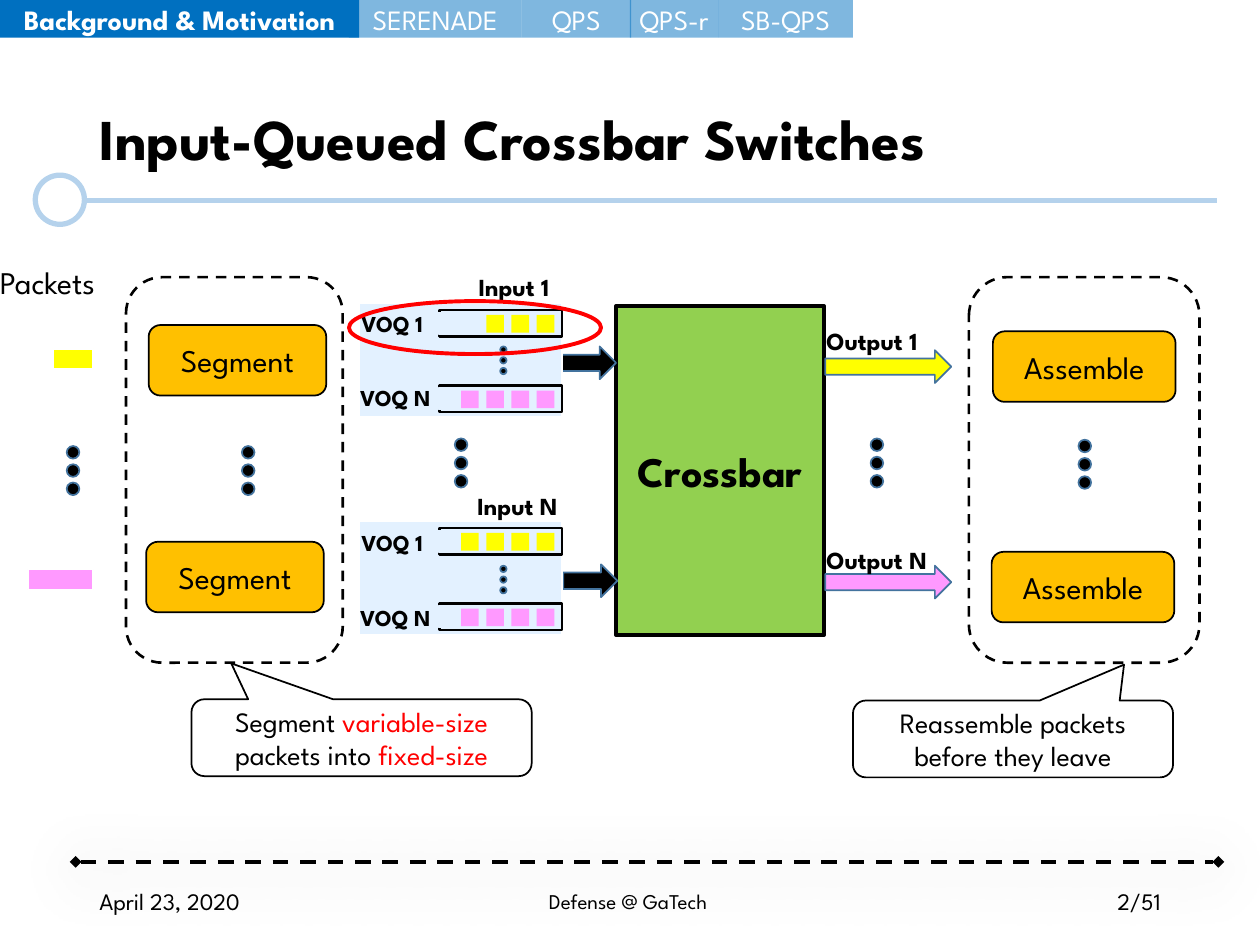
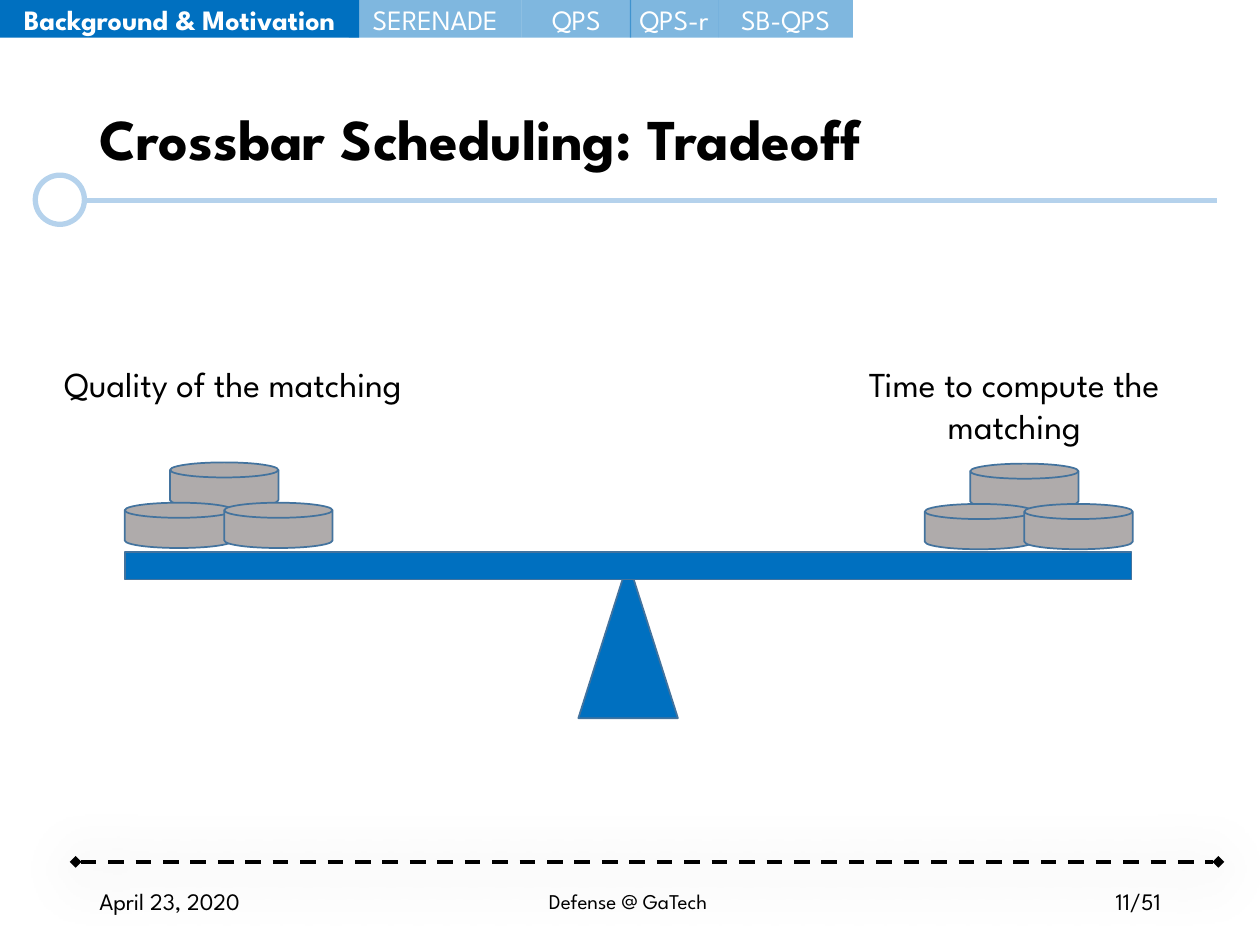
from lxml import etree
from pptx import Presentation
from pptx.dml.color import RGBColor
from pptx.enum import dml, shapes, text
from pptx.oxml import ns
from pptx.util import Inches, Pt

FONT = "League Spartan"
BLACK = RGBColor(0x00, 0x00, 0x00)
WHITE = RGBColor(0xFF, 0xFF, 0xFF)
RED = RGBColor(0xFF, 0x00, 0x00)
BLUE = RGBColor(0x00, 0x70, 0xC0)
RULE_BLUE = RGBColor(0xB5, 0xD2, 0xEC)
EDGE_BLUE = RGBColor(0x43, 0x73, 0x9E)
PALE_BLUE = RGBColor(0xE3, 0xF1, 0xFF)
YELLOW = RGBColor(0xFF, 0xFF, 0x00)
PINK = RGBColor(0xFF, 0x99, 0xFF)
ORANGE = RGBColor(0xFF, 0xC0, 0x00)
GREEN = RGBColor(0x92, 0xD0, 0x50)
GREY = RGBColor(0xAF, 0xAB, 0xAB)

SHAPE = shapes.MSO_SHAPE
LEFT, CENTER, RIGHT = text.PP_ALIGN.LEFT, text.PP_ALIGN.CENTER, text.PP_ALIGN.RIGHT
TOP, MIDDLE = text.MSO_ANCHOR.TOP, text.MSO_ANCHOR.MIDDLE

SHADOW = (
    f'<a:effectLst {ns.nsdecls("a")}><a:outerShdw blurRad="%d" dist="%d" dir="%d" '
    'algn="tl" rotWithShape="0"><a:srgbClr val="000000"><a:alpha val="43000"/>'
    "</a:srgbClr></a:outerShdw></a:effectLst>"
)


def add_box(slide, kind, box, fill=None, line=None, weight=1.0):
    """Add a preset shape at box (left, top, width, height in inches)."""
    shape = slide.shapes.add_shape(kind, *[Inches(value) for value in box])
    shape.shadow.inherit = False
    if fill is None:
        shape.fill.background()
    else:
        shape.fill.solid()
        shape.fill.fore_color.rgb = fill
    if line is None:
        shape.line.fill.background()
    else:
        shape.line.color.rgb = line
        shape.line.width = Pt(weight)
    return shape


def write(shape, runs, size, bold=False, align=CENTER, anchor=MIDDLE, wrap=True):
    """Fill a shape with one paragraph of (text, colour) runs."""
    frame = shape.text_frame
    frame.word_wrap = wrap
    frame.vertical_anchor = anchor
    paragraph = frame.paragraphs[0]
    paragraph.alignment = align
    for content, color in runs:
        run = paragraph.add_run()
        run.text = content
        run.font.name = FONT
        run.font.size = Pt(size)
        run.font.bold = bold
        run.font.color.rgb = color
    return paragraph


presentation = Presentation()
presentation.slide_width = Inches(10)
presentation.slide_height = Inches(7.5)

# Title, rules, section tabs and footer of every slide
tabs = [
    ("Background & Motivation", 0, 2.85),
    ("SERENADE", 2.77, 1.37),
    ("QPS", 4.14, 0.87),
    ("QPS-r", 5, 0.7),
    ("SB-QPS", 5.7, 1.07),
]
slides = []
for title_text, page in [
    ("Input-Queued Crossbar Switches", "2/51"),
    ("Crossbar Scheduling: Tradeoff", "11/51"),
]:
    slide = presentation.slides.add_slide(presentation.slide_layouts[5])
    slides.append(slide)

    title = slide.shapes.title
    title.left, title.top = Inches(0.69), Inches(0.4)
    title.width, title.height = Inches(8.62), Inches(1.45)
    paragraph = write(title, [(title_text, BLACK)], 33, bold=True, align=LEFT)
    paragraph.line_spacing = 0.9
    run_fill = paragraph.runs[0].font._element.find(ns.qn("a:solidFill"))
    run_fill.addnext(etree.fromstring(SHADOW % (Pt(3), Pt(3), 45 * 60000)))

    for start, end, y, color, weight in [
        (0.69, 9.66, 1.59, RULE_BLUE, 3),
        (0.6, 9.67, 6.84, BLACK, 2.25),
    ]:
        rule = slide.shapes.add_connector(
            shapes.MSO_CONNECTOR.STRAIGHT, Inches(start), Inches(y), Inches(end), Inches(y)
        )
        rule.line.color.rgb = color
        rule.line.width = Pt(weight)
        properties = rule._element.spPr
        if color == BLACK:
            rule.line.dash_style = dml.MSO_LINE.DASH
            outline = properties.find(ns.qn("a:ln"))
            for tip in ("a:headEnd", "a:tailEnd"):
                etree.SubElement(outline, ns.qn(tip), type="diamond")
            properties.append(etree.fromstring(SHADOW % (Pt(36), Pt(4), 90 * 60000)))
        else:
            etree.SubElement(properties, ns.qn("a:effectLst"))
    add_box(slide, SHAPE.OVAL, (0.28, 1.39, 0.39, 0.39), WHITE, RULE_BLUE, 3)

    for index, (label, left, width) in enumerate(tabs):
        tab = add_box(slide, SHAPE.RECTANGLE, (left, 0, width, 0.3), BLUE)
        tab.text_frame.margin_left = tab.text_frame.margin_right = 0
        write(tab, [(label, WHITE)], 16, bold=index == 0)
        if index > 0:
            color_element = tab._element.spPr.find(".//" + ns.qn("a:srgbClr"))
            etree.SubElement(color_element, ns.qn("a:alpha"), val="50000")

    for content, left, width, size, align in [
        ("April 23, 2020", 0.69, 2.25, 13.5, LEFT),
        ("Defense @ GaTech", 2.41, 5.15, 12, CENTER),
        (page, 7.06, 2.25, 13.5, RIGHT),
    ]:
        footer = slide.shapes.add_textbox(
            Inches(left), Inches(6.95), Inches(width), Inches(0.4)
        )
        write(footer, [(content, BLACK)], size, align=align)

crossbar_slide, tradeoff_slide = slides

# Crossbar switch: packets and processing stages
slide = crossbar_slide
add_box(slide, SHAPE.RECTANGLE, (0.42, 2.77, 0.32, 0.16), YELLOW, WHITE)
add_box(slide, SHAPE.RECTANGLE, (0.22, 4.52, 0.52, 0.16), PINK, WHITE)

for label, left, top, width in [
    ("Segment", 1.18, 2.58, 1.41),
    ("Segment", 1.16, 4.3, 1.41),
    ("Assemble", 7.88, 2.63, 1.45),
    ("Assemble", 7.87, 4.38, 1.45),
]:
    stage = add_box(slide, SHAPE.ROUNDED_RECTANGLE, (left, top, width, 0.56), ORANGE, BLACK)
    write(stage, [(label, BLACK)], 18)

for left, width in [(1, 1.72), (7.69, 1.83)]:
    border = add_box(
        slide, SHAPE.ROUNDED_RECTANGLE, (left, 2.2, width, 3.06), line=BLACK, weight=1.5
    )
    border.line.dash_style = dml.MSO_LINE.DASH

crossbar = add_box(slide, SHAPE.RECTANGLE, (4.89, 2.43, 1.65, 2.61), GREEN, BLACK, 2.25)
write(crossbar, [("Crossbar", BLACK)], 24, bold=True)

for left, top, width, fill in [
    (4.46, 2.75, 0.43, BLACK),
    (4.47, 4.48, 0.43, BLACK),
    (6.55, 2.78, 1, YELLOW),
    (6.55, 4.49, 1, PINK),
]:
    add_box(slide, SHAPE.RIGHT_ARROW, (left, top, width, 0.26), fill, EDGE_BLUE)

# Each input port holds two virtual output queues, open on the left
for port_top, yellow_count in [(2.41, 3), (4.14, 4)]:
    add_box(slide, SHAPE.RECTANGLE, (2.85, port_top, 1.61, 0.9), PALE_BLUE, WHITE)
    for queue_top, count, color in [
        (port_top + 0.05, yellow_count, YELLOW),
        (port_top + 0.65, 4, PINK),
    ]:
        add_box(slide, SHAPE.RECTANGLE, (3.49, queue_top, 0.97, 0.21), PALE_BLUE, BLACK, 1.5)
        add_box(
            slide, SHAPE.RECTANGLE, (3.48, queue_top + 0.02, 0.17, 0.17), PALE_BLUE, PALE_BLUE
        )
        for cell in range(count):
            add_box(
                slide, SHAPE.RECTANGLE, (4.26 - 0.2 * cell, queue_top + 0.04, 0.14, 0.14), color
            )

# Ellipses made of three dots: left, top, diameter, pitch
for left, top, diameter, pitch in [
    (3.97, 2.75, 0.05, 0.085),
    (3.97, 4.49, 0.05, 0.085),
    (0.53, 3.54, 0.1, 0.145),
    (1.92, 3.54, 0.1, 0.145),
    (3.61, 3.48, 0.1, 0.145),
    (6.91, 3.48, 0.1, 0.145),
    (8.56, 3.49, 0.1, 0.145),
]:
    for dot in range(3):
        add_box(
            slide, SHAPE.OVAL, (left, top + pitch * dot, diameter, diameter), BLACK, EDGE_BLUE
        )

for label, left, top, width, height, size, bold in [
    ("Packets", -0.1, 2.04, 1.16, 0.4, 18, False),
    ("VOQ 1", 2.77, 2.41, 0.8, 0.32, 13, True),
    ("VOQ N", 2.76, 3, 0.82, 0.32, 13, True),
    ("VOQ 1", 2.77, 4.15, 0.8, 0.32, 13, True),
    ("VOQ N", 2.76, 4.74, 0.82, 0.32, 13, True),
    ("Input 1", 3.7, 2.11, 0.85, 0.34, 14, True),
    ("Input N", 3.69, 3.85, 0.88, 0.34, 14, True),
    ("Output 1", 6.46, 2.54, 1.02, 0.34, 14, True),
    ("Output N", 6.46, 4.28, 1.05, 0.34, 14, True),
]:
    caption = slide.shapes.add_textbox(
        Inches(left), Inches(top), Inches(width), Inches(height)
    )
    write(caption, [(label, BLACK)], size, bold, LEFT, TOP, wrap=False)
    caption.text_frame.auto_size = text.MSO_AUTO_SIZE.SHAPE_TO_FIT_TEXT

for box, pointer_x, runs in [
    (
        (1.52, 5.55, 2.7, 0.61),
        -0.383,
        [
            ("Segment ", BLACK),
            ("variable-size", RED),
            (" packets into ", BLACK),
            ("fixed-size", RED),
        ],
    ),
    ((6.77, 5.56, 2.54, 0.61), 0.347, [("Reassemble packets before they leave", BLACK)]),
]:
    callout = add_box(slide, SHAPE.ROUNDED_RECTANGULAR_CALLOUT, box, WHITE, BLACK)
    callout.adjustments[0] = pointer_x
    callout.adjustments[1] = -0.968
    callout.adjustments[2] = 0.167
    write(callout, runs, 16)

add_box(slide, SHAPE.OVAL, (2.77, 2.39, 2, 0.42), line=RED, weight=2.25)

# Tradeoff: a balance with three weights on each side
slide = tradeoff_slide
add_box(slide, SHAPE.ISOSCELES_TRIANGLE, (4.59, 4.46, 0.79, 1.24), BLUE, EDGE_BLUE)
add_box(slide, SHAPE.RECTANGLE, (0.99, 4.38, 7.99, 0.22), BLUE, EDGE_BLUE)
for label, label_left, pile_left, pile_top in [
    ("Quality of the matching", 0.35, 0.99, 3.67),
    ("Time to compute the matching", 6.55, 7.34, 3.68),
]:
    for offset_x, offset_y in [(0.36, 0), (0, 0.32), (0.79, 0.32)]:
        add_box(
            slide,
            SHAPE.FLOWCHART_MAGNETIC_DISK,
            (pile_left + offset_x, pile_top + offset_y, 0.86, 0.36),
            GREY,
            EDGE_BLUE,
        )
    caption = slide.shapes.add_textbox(
        Inches(label_left), Inches(2.83), Inches(3), Inches(0.77)
    )
    write(caption, [(label, BLACK)], 20, anchor=TOP)

presentation.save("out.pptx")
